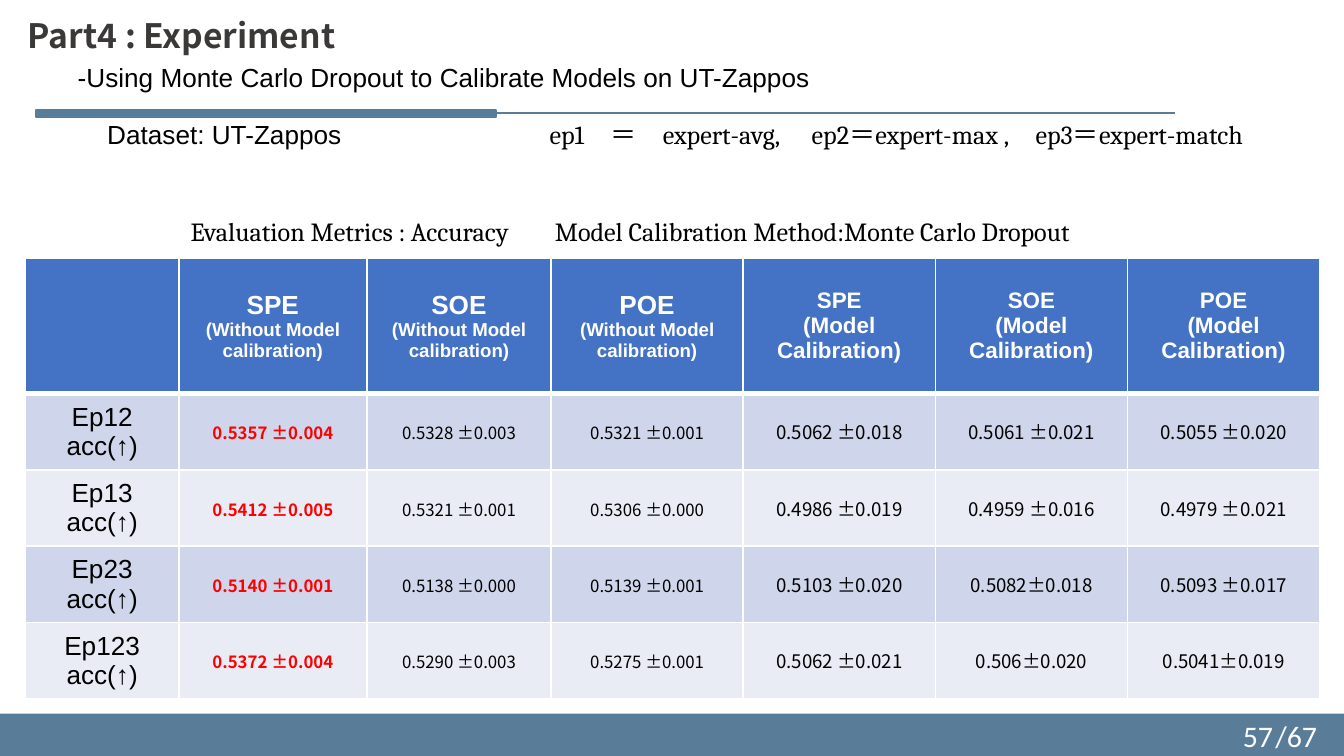
from dataclasses import dataclass

from lxml.etree import SubElement
from pptx import Presentation
from pptx.dml.color import RGBColor
from pptx.enum.shapes import MSO_CONNECTOR as Connector, MSO_SHAPE as Preset
from pptx.enum.text import MSO_ANCHOR as Anchor, PP_ALIGN as Align
from pptx.oxml.ns import qn
from pptx.util import Inches, Pt


@dataclass(frozen=True)
class Theme:
    accent: str = "597D98"
    title: str = "3B3838"
    black: str = "000000"
    white: str = "FFFFFF"
    best: str = "FF0000"
    header: str = "4472C4"
    bands: tuple = ("CFD5EA", "E9EBF5")
    sans: str = "Arial"
    serif: str = "Cambria"
    footer: str = "Calibri"
    heading: str = "Noto Sans CJK SC"
    numbers: str = "Noto Sans CJK JP"
    title_size: int = 18
    footer_size: int = 16
    body_size: int = 14
    calibrated_size: int = 12
    small_size: int = 10
    tiny_size: int = 9


THEME = Theme()
MODELS = ["SPE", "SOE", "POE"]
COLUMN_WIDTHS = [1.14, 1.4, 1.37] + [1.43] * 4
ROW_HEIGHTS = [1.01] + [0.46] * 3 + [0.57]
RESULTS = [
    (["Ep12 acc(↑)"], ["0.5357 ±0.004", "0.5328 ±0.003", "0.5321 ±0.001",
                       "0.5062 ±0.018", "0.5061 ±0.021", "0.5055 ±0.020"]),
    (["Ep13", "acc(↑)"], ["0.5412 ±0.005", "0.5321 ±0.001", "0.5306 ±0.000",
                          "0.4986 ±0.019", "0.4959 ±0.016", "0.4979 ±0.021"]),
    (["Ep23", "acc(↑)"], ["0.5140 ±0.001", "0.5138 ±0.000", "0.5139 ±0.001",
                          "0.5103 ±0.020", "0.5082±0.018", "0.5093 ±0.017"]),
    (["Ep123", "acc(↑)"], ["0.5372 ±0.004", "0.5290 ±0.003", "0.5275 ±0.001",
                           "0.5062 ±0.021", "0.506±0.020", "0.5041±0.019"]),
]


def rgb(color):
    return RGBColor.from_string(color)


def write(paragraph, text, *, size=THEME.body_size, font=THEME.sans,
          color=THEME.black, bold=False, align=Align.LEFT, tab=None):
    """Fill a paragraph; tab is the place of one left tab stop in inches."""
    paragraph.alignment = align
    if tab is not None:
        stops = SubElement(paragraph._p.get_or_add_pPr(), qn("a:tabLst"))
        SubElement(stops, qn("a:tab"), pos=str(Inches(tab)), algn="l")
    run = paragraph.add_run()
    run.text = text
    run.font.size = Pt(size)
    run.font.name = font
    run.font.bold = bold
    run.font.color.rgb = rgb(color)


def add_text(slide, box, text, *, anchor=Anchor.TOP, **text_format):
    frame = slide.shapes.add_textbox(*map(Inches, box)).text_frame
    frame.word_wrap = True
    frame.vertical_anchor = anchor
    write(frame.paragraphs[0], text, **text_format)


def add_bar(slide, box):
    shape = slide.shapes.add_shape(Preset.RECTANGLE, *map(Inches, box))
    shape.shadow.inherit = False
    shape.fill.solid()
    shape.fill.fore_color.rgb = rgb(THEME.accent)
    shape.line.color.rgb = rgb(THEME.accent)
    return shape


def add_rule(slide, start, end, top):
    ends = map(Inches, (start, top, end, top))
    line = slide.shapes.add_connector(Connector.STRAIGHT, *ends)
    line.line.color.rgb = rgb(THEME.accent)
    line.line.width = Pt(0.75)
    SubElement(line._element.spPr, qn("a:effectLst"))


def style_cell(cell, fill, top=1, bottom=1):
    """Set white borders, with widths in points, and then the fill."""
    properties = cell._tc.get_or_add_tcPr()
    for side, width in zip("LRTB", (1, 1, top, bottom)):
        border = SubElement(properties, qn(f"a:ln{side}"), w=str(Pt(width)))
        solid = SubElement(border, qn("a:solidFill"))
        SubElement(solid, qn("a:srgbClr"), val=THEME.white)
    cell.fill.solid()
    cell.fill.fore_color.rgb = rgb(fill)
    cell.vertical_anchor = Anchor.MIDDLE


def write_cell(cell, lines, sizes, **text_format):
    frame = cell.text_frame
    for index, (line, size) in enumerate(zip(lines, sizes)):
        paragraph = frame.add_paragraph() if index else frame.paragraphs[0]
        write(paragraph, line, size=size, align=Align.CENTER, **text_format)


def fill_header(table):
    for column in range(len(COLUMN_WIDTHS)):
        style_cell(table.cell(0, column), THEME.header, bottom=3)
    groups = [
        ("(Without Model calibration)", (THEME.body_size, THEME.small_size)),
        ("(Model Calibration)", (THEME.calibrated_size,) * 2),
    ]
    for group, (note, sizes) in enumerate(groups):
        for index, model in enumerate(MODELS):
            cell = table.cell(0, 1 + group * len(MODELS) + index)
            write_cell(cell, (model, note), sizes, color=THEME.white, bold=True)


def fill_results(table):
    for row, (label, values) in enumerate(RESULTS, start=1):
        for column in range(len(COLUMN_WIDTHS)):
            style_cell(table.cell(row, column), THEME.bands[(row - 1) % 2],
                       top=3 if row == 1 else 1)
        write_cell(table.cell(row, 0), label, (THEME.body_size,) * 2)
        for column, value in enumerate(values, start=1):
            cell = table.cell(row, column)
            uncalibrated, best = column <= len(MODELS), column == 1
            if uncalibrated:
                cell.margin_left = cell.margin_right = Inches(0.01)
                cell.margin_top, cell.margin_bottom = Inches(0.01), 0
            size = THEME.tiny_size if uncalibrated else THEME.small_size
            write_cell(cell, (value,), (size,), font=THEME.numbers, bold=best,
                       color=THEME.best if best else THEME.black)


def add_results_table(slide, left, top):
    box = (left, top, sum(COLUMN_WIDTHS), sum(ROW_HEIGHTS))
    table = slide.shapes.add_table(
        len(ROW_HEIGHTS), len(COLUMN_WIDTHS), *map(Inches, box)).table
    for column, width in zip(table.columns, COLUMN_WIDTHS):
        column.width = Inches(width)
    for row, height in zip(table.rows, ROW_HEIGHTS):
        row.height = Inches(height)
    fill_header(table)
    fill_results(table)


def main():
    presentation = Presentation()
    presentation.slide_width = Inches(10)
    presentation.slide_height = presentation.slide_width * 9 // 16
    slide = presentation.slides.add_slide(presentation.slide_layouts[6])

    footer_bar = add_bar(slide, (0, 5.31, 10, 0.31))
    footer_bar.height = presentation.slide_height - footer_bar.top
    footer_bar.line.fill.background()
    add_rule(slide, 8.74, 0.27, 0.84)
    add_bar(slide, (0.27, 0.82, 3.42, 0.05)).line.width = Pt(1)

    add_text(slide, (0.48, 0.41, 9.77, 0.34),
             "-Using Monte Carlo Dropout to Calibrate Models on UT-Zappos")
    add_text(slide, (0.11, 0.06, 7.07, 0.4), "Part4 : Experiment",
             size=THEME.title_size, font=THEME.heading, color=THEME.title,
             bold=True)
    add_text(slide, (0.24, 0.83, 2.86, 0.34), "Dataset: UT-Zappos",
             align=Align.CENTER)
    add_text(slide, (3.99, 0.83, 5.68, 0.34),
             "ep1　＝　expert-avg, 　ep2＝expert-max ,　ep3＝expert-match",
             font=THEME.serif)
    add_text(slide, (1.32, 1.55, 7.84, 0.34),
             "Evaluation Metrics : Accuracy\t"
             "Model Calibration Method:Monte Carlo Dropout",
             font=THEME.serif, tab=2.71)

    footer = dict(size=THEME.footer_size, font=THEME.footer,
                  color=THEME.white, anchor=Anchor.MIDDLE)
    add_text(slide, (9.31, 5.32, 0.67, 0.3), "/67", align=Align.CENTER, **footer)
    add_results_table(slide, 0.19, 1.92)
    add_text(slide, (7.32, 5.32, 2.25, 0.3), "57", align=Align.RIGHT, **footer)
    presentation.save("out.pptx")


if __name__ == "__main__":
    main()
